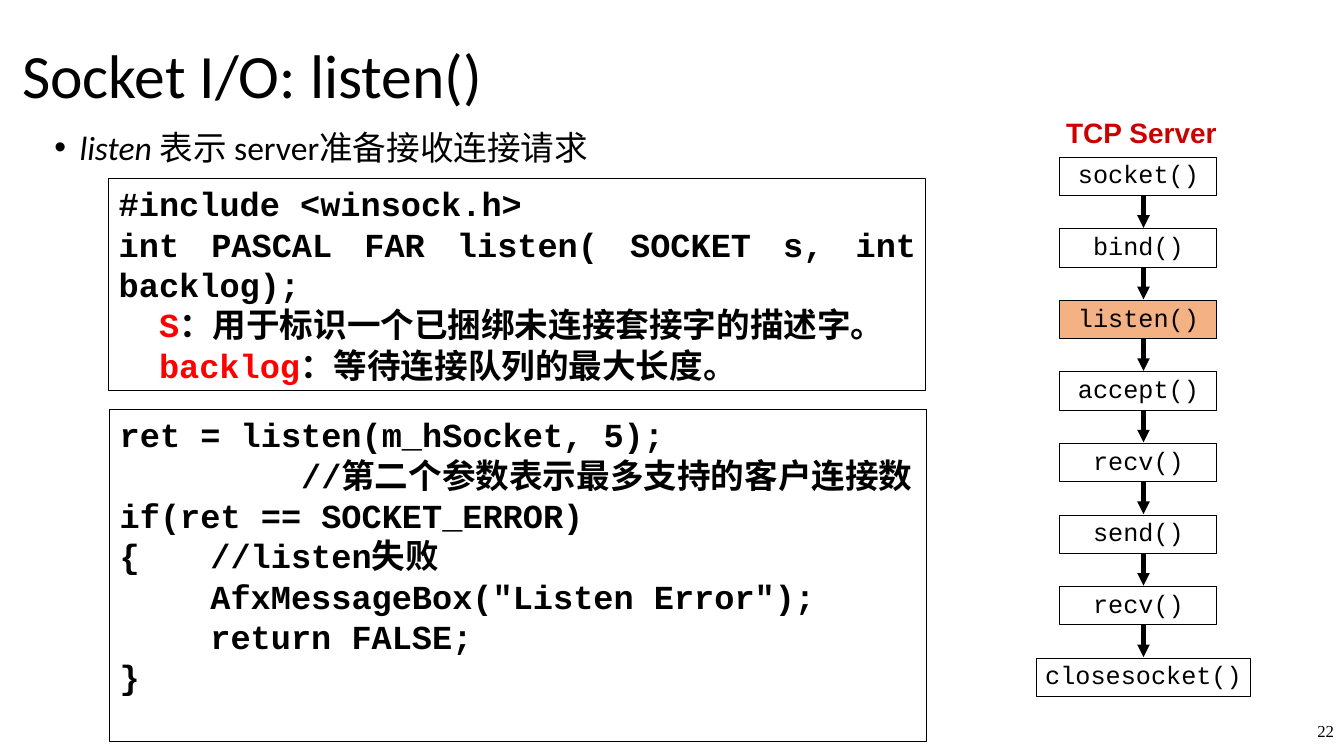
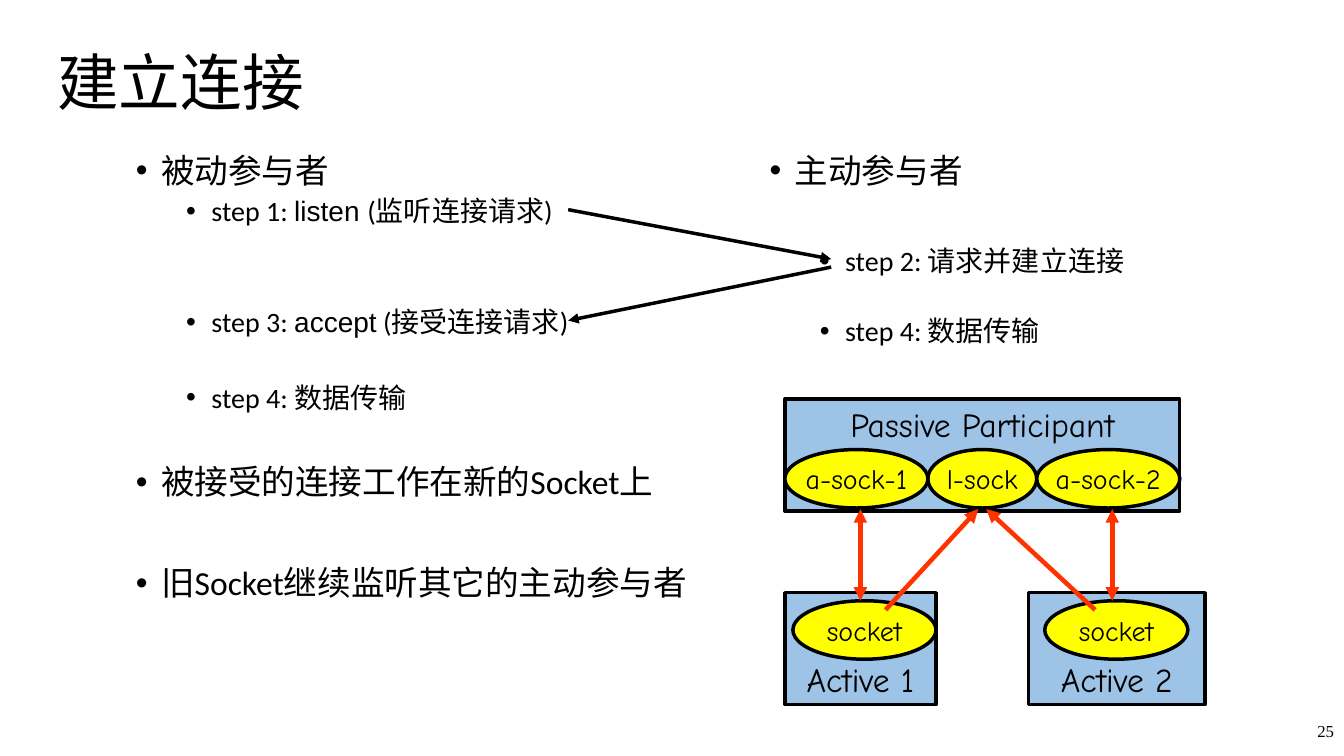
from dataclasses import dataclass

from lxml import etree
from pptx import Presentation
from pptx.dml.color import RGBColor
from pptx.enum import shapes, text
from pptx.oxml.ns import qn
from pptx import util as u


@dataclass(frozen=True)
class Theme:
    ink: str = "000000"
    paper: str = "FFFFFF"
    parameter: str = "FF0000"
    heading: str = "CC0000"
    current: str = "F4B183"
    participant: str = "9DC3E6"
    socket: str = "FFFF00"
    link: str = "FF3300"
    body_font: str = "Calibri"
    code_font: str = "Courier New"
    label_font: str = "Arial"
    diagram_font: str = "Comic Neue"
    number_font: str = "Times New Roman"
    title_size: int = 44
    body_size: int = 24
    step_size: int = 20
    flow_size: int = 18
    number_size: int = 12


THEME = Theme()
WIDTH, HEIGHT = 13.34, 7.5
LEFT, CENTER = text.PP_ALIGN.LEFT, text.PP_ALIGN.CENTER
RIGHT, JUSTIFY = text.PP_ALIGN.RIGHT, text.PP_ALIGN.JUSTIFY
TOP, MIDDLE, BOTTOM = (text.MSO_ANCHOR.TOP, text.MSO_ANCHOR.MIDDLE,
                       text.MSO_ANCHOR.BOTTOM)
RECTANGLE, OVAL = shapes.MSO_SHAPE.RECTANGLE, shapes.MSO_SHAPE.OVAL

# ---- Content of the listen() slide: runs are (text, style changes)
PARAMETER = {"color": THEME.parameter}
LISTEN_POINT = [(0, 0, [("listen ", {"italic": True}),
                        ("表示 server准备接收连接请求", {})])]
DECLARATION = [
    (JUSTIFY, [("#include <winsock.h>", {})]),
    (JUSTIFY, [("int PASCAL FAR listen( SOCKET s, int backlog);", {})]),
    (JUSTIFY, [("  ", {}), ("S", PARAMETER),
               ("：用于标识一个已捆绑未连接套接字的描述字。", {})]),
    (LEFT, [("  ", {}), ("backlog", PARAMETER),
            ("：等待连接队列的最大长度。", {})]),
]
USAGE = [(LEFT, [(line, {})]) for line in (
    "ret = listen(m_hSocket, 5);",
    "         //第二个参数表示最多支持的客户连接数",
    "if(ret == SOCKET_ERROR)",
    "{\t//listen失败",
    "\tAfxMessageBox(\"Listen Error\");",
    "\treturn FALSE;",
    "}",
)]
SERVER_CALLS = ["socket()", "bind()", "listen()", "accept()", "recv()",
                "send()", "recv()", "closesocket()"]
CURRENT_CALL = "listen()"

# ---- Content of the connection slide: (level, points before, runs)
ARIAL = {"font": THEME.label_font}
PASSIVE_POINTS = [
    (0, 0, [("被动参与者", {})]),
    (1, 5, [("step 1: ", {}), ("listen ", ARIAL), ("(监听连接请求)", {})]),
    (1, 58, [("step 3: ", {}), ("accept", ARIAL), (" (接受连接请求)", {})]),
    (1, 32, [("step 4: 数据传输", {})]),
    (0, 37, [("被接受的连接工作在新的Socket上", {})]),
    (0, 46, [("旧Socket继续监听其它的主动参与者", {})]),
]
ACTIVE_POINTS = [
    (0, 0, [("主动参与者", {})]),
    (1, 41, [("step 2: 请求并建立连接", {})]),
    (1, 28, [("step 4: 数据传输", {})]),
]
STEP_ARROWS = [((5.64, 2.08), (8.25, 2.57)), ((8.25, 2.65), (5.64, 3.18))]
PARTICIPANTS = [  # label, box, anchor
    ("Passive Participant", (7.79, 3.96, 3.92, 1.11), TOP),
    ("Active 1", (7.79, 5.88, 1.5, 1.11), BOTTOM),
    ("Active 2", (10.21, 5.88, 1.75, 1.11), BOTTOM),
]
SOCKETS = [  # label, left, top, width
    ("l-sock", 9.21, 4.46, 1.08),
    ("a-sock-1", 7.79, 4.46, 1.42),
    ("a-sock-2", 10.29, 4.46, 1.42),
    ("socket", 7.87, 5.96, 1.42),
    ("socket", 10.37, 5.96, 1.42),
]
SOCKET_HEIGHT = 0.58
SOCKET_LINKS = [  # start, end, arrowhead at both ends
    ((8.79, 6.05), (9.71, 5.05), False),
    ((8.54, 5.05), (8.54, 5.96), True),
    ((10.87, 6.05), (9.79, 5.05), False),
    ((11.04, 5.05), (11.04, 5.96), True),
]


# ---- Shared helpers
def inches(values):
    return [u.Inches(value) for value in values]


def color(value):
    return RGBColor.from_string(value)


def add_runs(paragraph, runs, font, size, ink=THEME.ink, bold=False):
    for words, changes in runs:
        run = paragraph.add_run()
        run.text = words
        run.font.name = changes.get("font", font)
        run.font.size = u.Pt(size)
        run.font.bold = bold
        run.font.italic = changes.get("italic", False)
        run.font.color.rgb = color(changes.get("color", ink))


def set_frame(shape, anchor=TOP, wrap=True, insets=(0.1, 0.05)):
    frame = shape.text_frame
    frame.auto_size = text.MSO_AUTO_SIZE.NONE
    frame.word_wrap = wrap
    frame.vertical_anchor = anchor
    frame.margin_left = frame.margin_right = u.Inches(insets[0])
    frame.margin_top = frame.margin_bottom = u.Inches(insets[1])
    return frame


def next_paragraph(frame, index):
    return frame.add_paragraph() if index else frame.paragraphs[0]


def add_label(slide, words, box, font, size, ink=THEME.ink, bold=False,
              align=CENTER, wrap=True):
    frame = set_frame(slide.shapes.add_textbox(*inches(box)), MIDDLE, wrap)
    paragraph = frame.paragraphs[0]
    paragraph.alignment = align
    add_runs(paragraph, [(words, {})], font, size, ink, bold)


def add_box(slide, kind, box, fill=None, line_width=0.75):
    shape = slide.shapes.add_shape(kind, *inches(box))
    shape.shadow.inherit = False
    if fill:
        shape.fill.solid()
        shape.fill.fore_color.rgb = color(fill)
    else:
        shape.fill.background()
    shape.line.color.rgb = color(THEME.ink)
    shape.line.width = u.Pt(line_width)
    return shape


def add_arrow(slide, start, end, width, ink=THEME.ink, both=False):
    connector = slide.shapes.add_connector(
        shapes.MSO_CONNECTOR.STRAIGHT, *inches((*start, *end)))
    connector.line.color.rgb = color(ink)
    connector.line.width = u.Pt(width)
    properties = connector._element.spPr
    line = properties.find(qn("a:ln"))
    for tag in (["a:headEnd"] if both else []) + ["a:tailEnd"]:
        etree.SubElement(line, qn(tag), type="triangle")
    etree.SubElement(properties, qn("a:effectLst"))


def add_bullets(slide, points, box, insets=(0.1, 0.05)):
    frame = set_frame(slide.shapes.add_textbox(*inches(box)), insets=insets)
    for index, (level, before, runs) in enumerate(points):
        paragraph = next_paragraph(frame, index)
        paragraph.level = level
        properties = paragraph._p.get_or_add_pPr()
        properties.set("marL", str(u.Inches(0.25 + 0.5 * level)))
        properties.set("indent", str(u.Inches(-0.25)))
        bullet_color = etree.SubElement(properties, qn("a:buClr"))
        etree.SubElement(bullet_color, qn("a:srgbClr"), val=THEME.ink)
        etree.SubElement(properties, qn("a:buFont"), typeface=THEME.label_font)
        etree.SubElement(properties, qn("a:buChar"), char="•")
        paragraph.line_spacing = 0.9
        paragraph.space_before = u.Pt(before)
        size = THEME.step_size if level else THEME.body_size
        add_runs(paragraph, runs, THEME.body_font, size)


def add_code(slide, lines, box):
    frame = set_frame(add_box(slide, RECTANGLE, box))
    for index, (align, runs) in enumerate(lines):
        paragraph = next_paragraph(frame, index)
        properties = paragraph._p.get_or_add_pPr()
        stops = etree.SubElement(properties, qn("a:tabLst"))
        etree.SubElement(stops, qn("a:tab"), pos=str(u.Inches(0.9)), algn="l")
        paragraph.alignment = align
        add_runs(paragraph, runs, THEME.code_font, THEME.body_size, bold=True)


def add_slide(presentation, title, left, top, number, insets=(0.1, 0.05)):
    slide = presentation.slides.add_slide(presentation.slide_layouts[5])
    slide.background.fill.solid()
    slide.background.fill.fore_color.rgb = color(THEME.paper)
    shape = slide.shapes.title
    shape.left, shape.top, shape.width, shape.height = inches(
        (left, top, 11.5, 1.45))
    paragraph = set_frame(shape, MIDDLE, insets=insets).paragraphs[0]
    paragraph.alignment = LEFT
    paragraph.line_spacing = 0.9
    add_runs(paragraph, [(title, {})], THEME.body_font, THEME.title_size)
    add_label(slide, number, (WIDTH - 0.67, HEIGHT - 0.5, 0.67, 0.5),
              THEME.number_font, THEME.number_size, align=RIGHT)
    return slide


# ---- Slides
def build_listen_slide(presentation):
    narrow = (0.09, 0.04)
    slide = add_slide(presentation, "Socket I/O: listen()", 0.13, 0.05, "22",
                      narrow)
    add_bullets(slide, LISTEN_POINT, (0.45, 1.26, 9.33, 0.47), narrow)
    add_code(slide, DECLARATION, (1.08, 1.77, 8.11, 2.1))
    add_code(slide, USAGE, (1.09, 4.06, 8.11, 3.3))

    # Column of server calls
    add_label(slide, "TCP Server", (10.48, 1.09, 1.7, 0.44), THEME.label_font,
              THEME.step_size, THEME.heading, bold=True, wrap=False)
    first_top, pitch, height, arrow_x = 1.56, 0.71, 0.38, 11.35
    for index, call in enumerate(SERVER_CALLS):
        top = first_top + index * pitch
        last = index == len(SERVER_CALLS) - 1
        left, width = (10.29, 2.12) if last else (10.52, 1.56)
        fill = THEME.current if call == CURRENT_CALL else None
        shape = add_box(slide, RECTANGLE, (left, top, width, height), fill)
        paragraph = set_frame(shape, wrap=False).paragraphs[0]
        paragraph.alignment = CENTER
        paragraph.line_spacing = 0.9
        add_runs(paragraph, [(call, {})], THEME.code_font, THEME.flow_size)
        if not last:
            add_arrow(slide, (arrow_x, top + height),
                      (arrow_x, top + pitch - 0.01), 3)


def build_connection_slide(presentation):
    slide = add_slide(presentation, "建立连接", 0.47, 0.12, "25")
    add_bullets(slide, PASSIVE_POINTS, (1.25, 1.48, 6.12, 5.33))
    add_bullets(slide, ACTIVE_POINTS, (7.54, 1.48, 4.17, 2.5))
    for start, end in STEP_ARROWS:
        add_arrow(slide, start, end, 2.5)

    # Participants, then their sockets, then the links between them
    parts = [(RECTANGLE, label, box, THEME.participant, THEME.body_size,
              anchor, (0.1, 0.05)) for label, box, anchor in PARTICIPANTS]
    parts += [(OVAL, label, (left, top, width, SOCKET_HEIGHT), THEME.socket,
               THEME.step_size, MIDDLE, (0, 0))
              for label, left, top, width in SOCKETS]
    for kind, label, box, fill, size, anchor, insets in parts:
        shape = add_box(slide, kind, box, fill, 2.5)
        frame = set_frame(shape, anchor, wrap=False, insets=insets)
        frame.paragraphs[0].alignment = CENTER
        add_runs(frame.paragraphs[0], [(label, {})], THEME.diagram_font, size)
    for start, end, both in SOCKET_LINKS:
        add_arrow(slide, start, end, 3.25, THEME.link, both)


def main():
    presentation = Presentation()
    presentation.slide_width, presentation.slide_height = inches(
        (WIDTH, HEIGHT))
    build_listen_slide(presentation)
    build_connection_slide(presentation)
    presentation.save("out.pptx")


if __name__ == "__main__":
    main()
